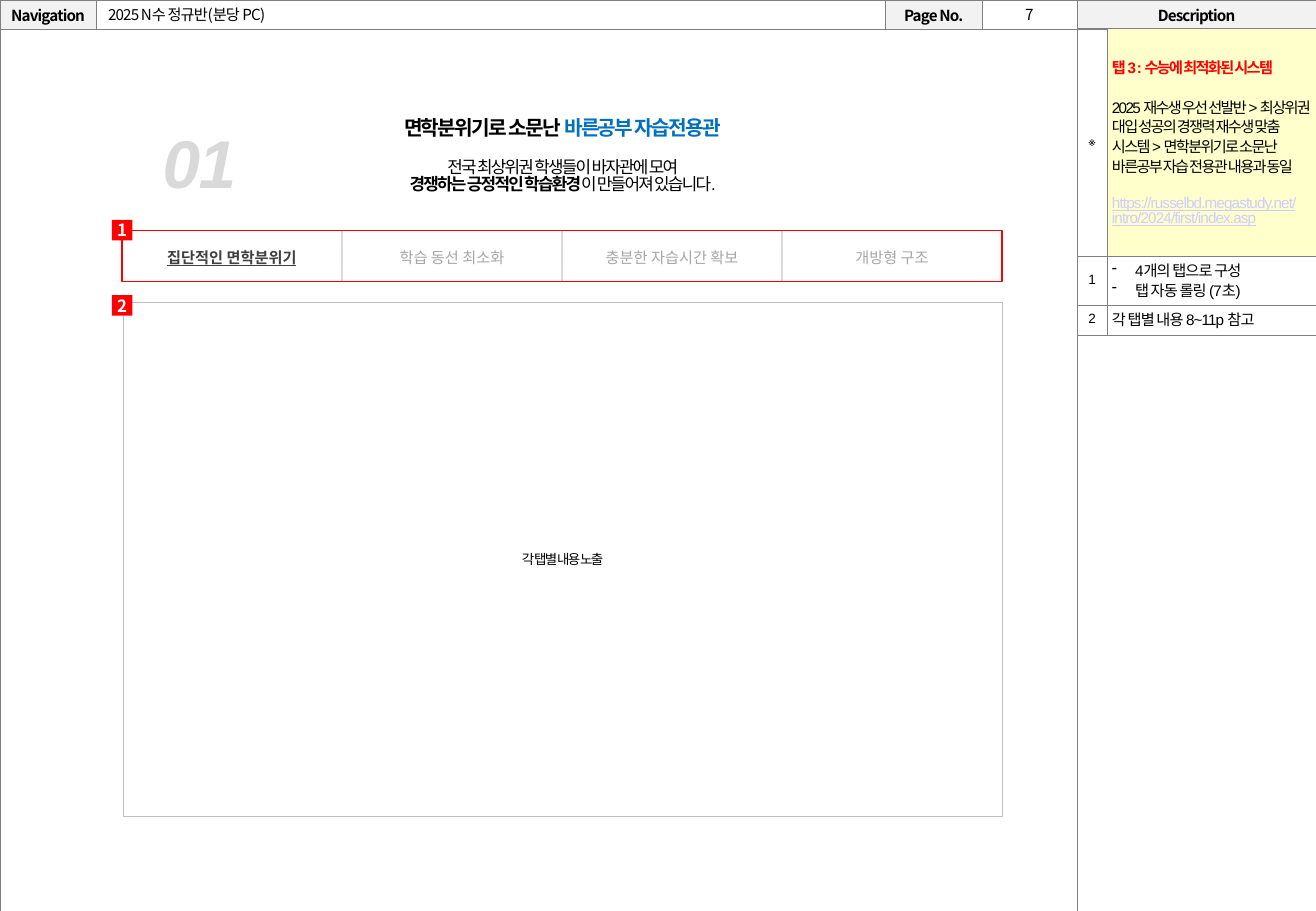
from lxml.etree import SubElement, Element
from pptx import Presentation
from pptx.dml.color import RGBColor
from pptx.enum.shapes import MSO_SHAPE as Shape
from pptx.enum.text import MSO_ANCHOR as Anchor, PP_ALIGN as Align
from pptx.oxml.ns import qn
from pptx.util import Inches, Pt

W, H = Inches(10.83), Inches(7.5)
NOTO, ARIAL, DEJAVU = "Noto Sans CJK KR", "Arial", "DejaVu Sans"
GRAY, SILVER, RED = "808080", "D9D9D9", "FF0000"
CENTER = {"alignment": Align.CENTER}
TIGHT = {"line_spacing": 0.9}
DASH = {**TIGHT, "bullet": "-"}
CELL_PAD = Inches(0.04)


def across(share):
    return round(W * share / 100)


def down(share):
    return round(H * share / 100)


def place(x, y, w, h):
    return across(x), down(y), across(w), down(h)


def rgb(value):
    return RGBColor.from_string(value)


def paint(fill, color):
    if color:
        fill.solid()
        fill.fore_color.rgb = rgb(color)
    else:
        fill.background()


def run(text, size=9, name=NOTO, color="000000", spacing=-0.5, **fmt):
    return text, {"size": Pt(size), "name": name, **fmt}, color, spacing


def para(*runs, **fmt):
    return runs, fmt


def add_run(p, text, fmt, color, spacing):
    r = p.add_run()
    r.text = text
    for key, value in fmt.items():
        setattr(r.font, key, value)
    r.font.color.rgb = rgb(color)
    rPr = r._r.get_or_add_rPr()
    rPr.set("spc", str(round(spacing * 100)))
    east = Element(qn("a:ea"), typeface=NOTO)
    rPr.find(qn("a:latin")).addnext(east)


def write(tf, paras):
    for i, (runs, fmt) in enumerate(paras):
        p = tf.paragraphs[0] if i == 0 else tf.add_paragraph()
        bullet = fmt.get("bullet")
        for key, value in fmt.items():
            if key != "bullet":
                setattr(p, key, value)
        if bullet:
            pPr = p._p.get_or_add_pPr()
            pPr.set("marL", str(Inches(0.19)))
            pPr.set("indent", str(-Inches(0.19)))
            SubElement(pPr, qn("a:buChar"), char=bullet)
        for item in runs:
            add_run(p, *item)


def add_text(s, box, paras, anchor=Anchor.TOP):
    tf = s.shapes.add_textbox(*place(*box)).text_frame
    tf.word_wrap = True
    tf.vertical_anchor = anchor
    write(tf, paras)


def add_box(s, box, fill=None, line=None, width=0.25, paras=()):
    sp = s.shapes.add_shape(Shape.RECTANGLE, *place(*box))
    sp.shadow.inherit = False
    paint(sp.fill, fill)
    paint(sp.line.fill, line)
    if line:
        sp.line.width = Pt(width)
    tf = sp.text_frame
    tf.vertical_anchor = Anchor.MIDDLE
    tf.margin_left = tf.margin_right = tf.margin_top = tf.margin_bottom = 0
    write(tf, paras)


def add_marker(s, y, number):
    label = run(number, size=10, color="FFFFFF", spacing=0, bold=True)
    add_box(s, (8.5, y, 1.57, 2.27), fill=RED, paras=[para(label, **CENTER)])


def set_borders(cell, sides, color, width):
    tcPr = cell._tc.get_or_add_tcPr()
    for i, side in enumerate("LRTB"):
        ln = Element(qn(f"a:ln{side}"), w=str(Pt(width)))
        if side in sides:
            solid = SubElement(ln, qn("a:solidFill"))
            SubElement(solid, qn("a:srgbClr"), val=color)
        else:
            SubElement(ln, qn("a:noFill"))
        tcPr.insert(i, ln)


def add_grid(s, x, y, cols, rows, pad, sides, color, width):
    box = place(x, y, sum(cols), sum(rows))
    table = s.shapes.add_table(len(rows), len(cols), *box).table
    table.first_row = table.horz_banding = False
    for col, share in zip(table.columns, cols):
        col.width = across(share)
    for row, share in zip(table.rows, rows):
        row.height = down(share)
    for cell in table.iter_cells():
        cell.vertical_anchor = Anchor.MIDDLE
        cell.margin_left = cell.margin_right = pad
        cell.margin_top = cell.margin_bottom = pad
        cell.fill.background()
        set_borders(cell, sides, color, width)
    return table


def add_frame(s):
    table = add_grid(s, 0, 0, [7.3, 60, 7.3, 7.25, 18.15], [3.2, 96.8],
                     0, "LRTB", GRAY, 0.25)
    for cell in table.iter_cells():
        paint(cell.fill, "FFFFFF")
        end = cell.text_frame.paragraphs[0]._p.get_or_add_endParaRPr()
        end.set("sz", "900")
    for col, title in {0: "Navigation", 2: "Page No.", 4: "Description"}.items():
        cell = table.cell(0, col)
        paint(cell.fill, "F2F2F2")
        write(cell.text_frame, [para(run(title, bold=True), **CENTER)])
    table.cell(1, 0).merge(table.cell(1, 3))
    add_text(s, (7.3, 0, 60, 3.2), [para(run("2025 N수 정규반(분당 PC)"))], Anchor.MIDDLE)
    add_text(s, (74.6, 0, 7.25, 3.2), [para(run("7"), **CENTER)], Anchor.MIDDLE)


def add_description(s):
    gap = {**TIGHT, "space_before": Pt(11.7)}
    overview = [
        para(run("탭 3 : 수능에 최적화된 시스템", name=ARIAL, color=RED,
                 spacing=-1, bold=True), **TIGHT),
        para(run("2025 재수생 우선 선발반 > 최상위권 대입 성공의 경쟁력 재수생 맞춤 시스템 "
                 "> 면학분위기로 소문난 바른공부 자습 전용관 내용과 동일",
                 name=ARIAL, spacing=-1), **gap),
        para(run("https://russelbd.megastudy.net/intro/2024/first/index.asp",
                 name=ARIAL, color="CCCCFF", underline=True), **gap),
    ]
    tab_notes = [para(run(text, name=ARIAL), **DASH)
                 for text in ("4개의 탭으로 구성", "탭 자동 롤링 (7초)")]
    content_note = [para(run("각 탭별 내용 8~11p 참고", name=ARIAL), **TIGHT)]
    notes = [("※", overview), ("1", tab_notes), ("2", content_note)]
    table = add_grid(s, 81.85, 3.13, [2.28, 15.87], [24.97, 5.37, 3.3],
                     CELL_PAD, "LRTB", GRAY, 0.25)
    for row, (mark, paras) in enumerate(notes):
        label = run(mark, size=8, name=ARIAL, spacing=-1)
        write(table.cell(row, 0).text_frame, [para(label, **CENTER, **TIGHT)])
        write(table.cell(row, 1).text_frame, paras)
    paint(table.cell(0, 1).fill, "FFFFCC")


def add_heading(s):
    title = {"size": 12, "name": ARIAL, "spacing": -1, "bold": True}
    body = {"size": 10, "name": ARIAL, "spacing": -1}
    lines = {**CENTER, "line_spacing": 0.84}
    add_text(s, (9.33, 12.4, 66.85, 10.8), [
        para(run("면학분위기로 소문난 ", **title),
             run("바른공부 자습전용관", color="0070C0", **title), **lines),
        para(run("전국 최상위권 학생들이 바자관에 모여", **body),
             space_before=Pt(12.2), **lines),
        para(run("경쟁하는 긍정적인 학습환경", bold=True, **body),
             run("이 만들어져 있습니다.", **body), **lines),
    ])
    number = run("01", size=40, name=ARIAL, color=SILVER, spacing=-1,
                 bold=True, italic=True)
    add_text(s, (11.45, 12.67, 8.03, 10.27), [para(number)])


def add_tabs(s):
    names = ["집단적인 면학분위기", "학습 동선 최소화", "충분한 자습시간 확보", "개방형 구조"]
    table = add_grid(s, 9.25, 25.4, [66.9 / len(names)] * len(names), [5.5],
                     Inches(0.05), "LR", SILVER, 1)
    for i, name in enumerate(names):
        active = i == 0
        label = run(name, name=DEJAVU, color="404040" if active else "A6A6A6",
                    spacing=0, bold=active, underline=active)
        write(table.cell(0, i).text_frame, [para(label, **CENTER)])
    add_box(s, (9.25, 25.3, 66.9, 5.6), line=RED, width=1)


def main():
    prs = Presentation()
    prs.slide_width, prs.slide_height = W, H
    s = prs.slides.add_slide(prs.slide_layouts[6])
    add_frame(s)
    add_description(s)
    content = run("각 탭별 내용 노출", size=8, name=ARIAL, spacing=-1)
    add_box(s, (9.33, 33.2, 66.85, 56.4), fill="FFFFFF", line="BFBFBF",
            paras=[para(content, **CENTER)])
    add_heading(s)
    add_tabs(s)
    add_marker(s, 24.13, "1")
    add_marker(s, 32.4, "2")
    prs.save("out.pptx")


if __name__ == "__main__":
    main()
